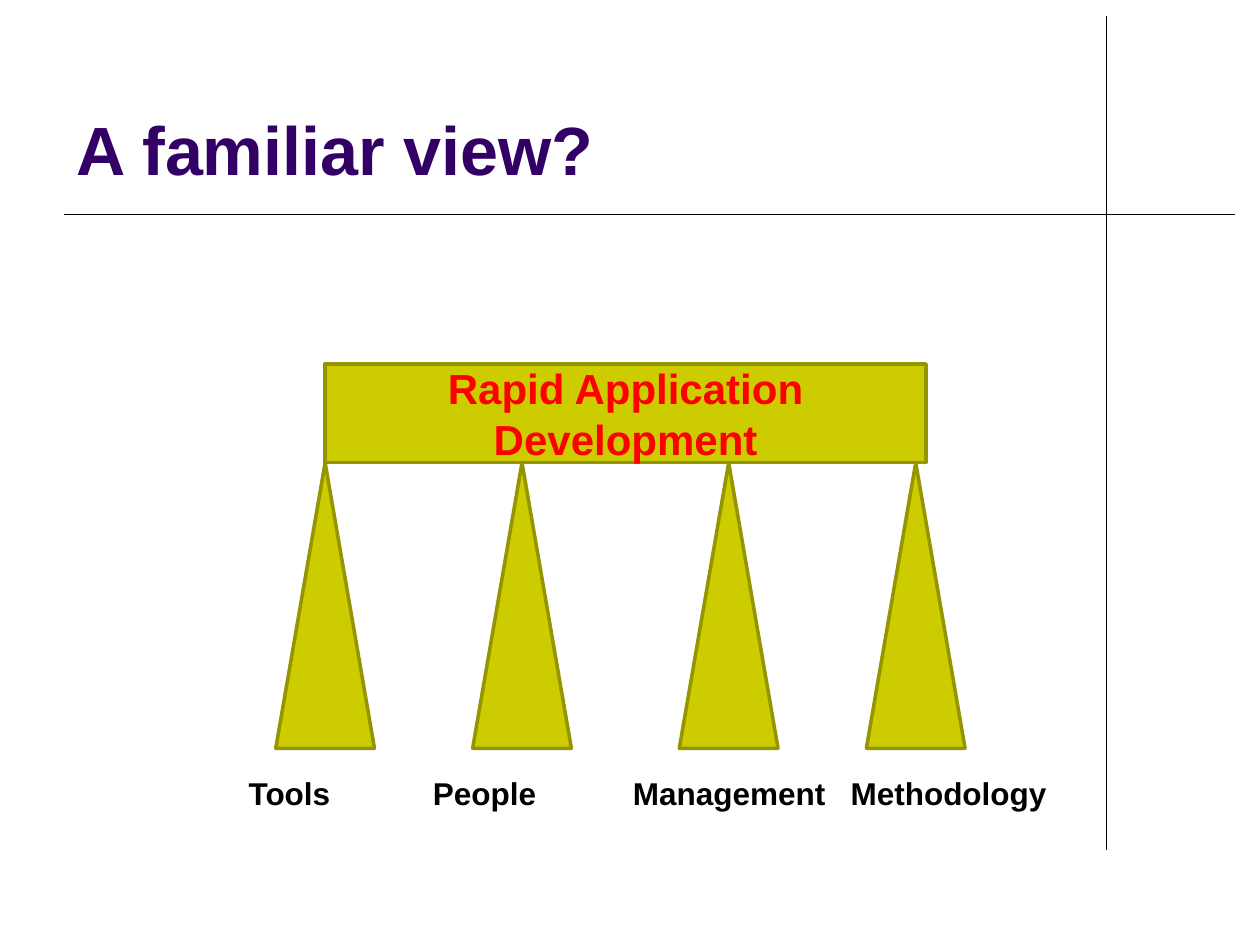
from dataclasses import dataclass

from lxml import etree
from pptx import Presentation
from pptx.dml.color import RGBColor
from pptx.enum.shapes import MSO_CONNECTOR, MSO_SHAPE
from pptx.enum.text import MSO_ANCHOR, PP_ALIGN
from pptx.oxml.ns import qn
from pptx.util import Pt

LINE = MSO_CONNECTOR.STRAIGHT
RECT = MSO_SHAPE.RECTANGLE
CONE = MSO_SHAPE.ISOSCELES_TRIANGLE
TOP, MIDDLE, BOTTOM = MSO_ANCHOR.TOP, MSO_ANCHOR.MIDDLE, MSO_ANCHOR.BOTTOM
LEFT, CENTER = PP_ALIGN.LEFT, PP_ALIGN.CENTER


@dataclass(frozen=True)
class Theme:
    """Colours, font and type sizes of the slide."""
    font: str = "Arial"
    title: str = "330066"
    alert: str = "FF0000"
    ink: str = "000000"
    fill: str = "CCCC00"
    edge: str = "959500"
    large: int = 39
    medium: int = 24
    small: int = 18
    rule: float = 0.75
    border: float = 2


THEME = Theme()


def rgb(code):
    """Turn a hex code into a colour."""
    return RGBColor.from_string(code)


def set_text(shape, words, size, color, anchor=TOP, align=LEFT):
    """Write bold text into a shape and return its paragraph."""
    frame = shape.text_frame
    frame.word_wrap = True
    frame.vertical_anchor = anchor
    frame.text = words
    para = frame.paragraphs[0]
    para.alignment = align
    for run in para.runs:
        run.font.name = THEME.font
        run.font.size = Pt(size)
        run.font.bold = True
        run.font.color.rgb = rgb(color)
    return para


def add_text(slide, box, words, size, color, anchor=TOP):
    """Add a text box and return its paragraph."""
    shape = slide.shapes.add_textbox(*map(Pt, box))
    return set_text(shape, words, size, color, anchor)


def set_tabs(para, stops):
    """Give a paragraph left tab stops, in points from its start."""
    tabs = etree.SubElement(para._p.get_or_add_pPr(), qn("a:tabLst"))
    for stop in stops:
        etree.SubElement(tabs, qn("a:tab"), pos=str(Pt(stop)), algn="l")


def add_rule(slide, *ends):
    """Add a thin line between two points."""
    rule = slide.shapes.add_connector(LINE, *map(Pt, ends))
    rule.line.color.rgb = rgb(THEME.ink)
    rule.line.width = Pt(THEME.rule)
    etree.SubElement(rule._element.spPr, qn("a:effectLst"))


def add_block(slide, kind, *box):
    """Add a filled and bordered shape."""
    block = slide.shapes.add_shape(kind, *map(Pt, box))
    block.shadow.inherit = False
    block.fill.solid()
    block.fill.fore_color.rgb = rgb(THEME.fill)
    block.line.color.rgb = rgb(THEME.edge)
    block.line.width = Pt(THEME.border)
    return block


def add_bridge(slide):
    """Add the beam, its four pillars and their labels."""
    left, top, width, height = 185.8, 208, 343.4, 56.4
    beam = add_block(slide, RECT, left, top, width, height)
    set_text(beam, "Rapid Application Development", THEME.medium,
             THEME.alert, MIDDLE, CENTER)
    base = 56.4
    for tip in (0, 112.5, 230.6, 337.5):
        add_block(slide, CONE, left + tip - base / 2, top + height, base, 163.2)
    names = ("Tools", "People", "Management", "Methodology")
    row = add_text(slide, (135, 438.5, 478, 29), "\t".join(names),
                   THEME.small, THEME.ink)
    set_tabs(row, (105.3, 219.6, 344))


def main():
    """Build the slide and save it."""
    deck = Presentation()
    deck.slide_width, deck.slide_height = Pt(720), Pt(540)
    slide = deck.slides.add_slide(deck.slide_layouts[6])
    add_rule(slide, 632.2, 9.4, 632.2, 485.6)
    add_rule(slide, 36.7, 122.4, 705.6, 122.4)
    add_text(slide, (36.7, 9.4, 594, 102.2), "A familiar view?",
             THEME.large, THEME.title, BOTTOM)
    add_bridge(slide)
    deck.save("out.pptx")


main()
